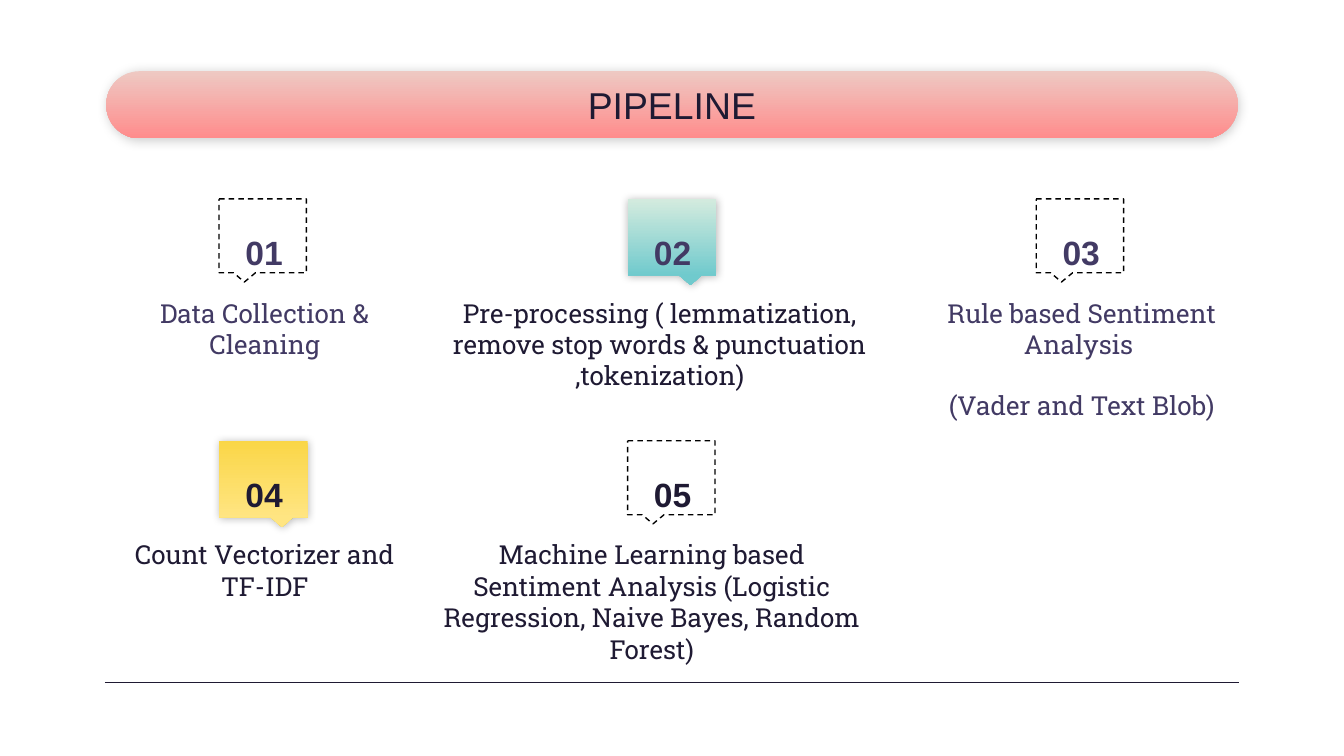
from collections import namedtuple
from dataclasses import dataclass
from lxml.etree import SubElement
from pptx import Presentation
from pptx.dml.color import RGBColor
from pptx.enum.dml import MSO_LINE
from pptx.enum.shapes import MSO_CONNECTOR, MSO_SHAPE
from pptx.enum.text import MSO_ANCHOR as Anchor, MSO_AUTO_SIZE, PP_ALIGN
from pptx.oxml.ns import qn
from pptx.util import Inches, Pt

Box = namedtuple("Box", "x y w h")
Step = namedtuple("Step", "col row num lines ink fill grow", defaults=[None, (0, 0)])


@dataclass(frozen=True)
class Theme:
    dark: str = "1F1A33"
    soft: str = "423A64"
    black: str = "000000"
    rose: tuple = ("EEC9C3", "FF8C8C")
    teal: tuple = ("D4EBDE", "70CACD")
    gold: tuple = ("FAD647", "FFE582")
    head: str = "Arial"
    body: str = "Roboto Slab"
    title: int = 20
    num: int = 18
    text: int = 14
    gap: int = 16
    rule: float = 0.75


T = Theme()
WIDE = 10
HIGH = WIDE * 9 / 16
EDGE = 0.79
GRID = Box(EDGE, 1.48, 3.04, 1.8)  # origin and pitch of the step cells
CELL = Box(0, 0, 2.36, 1.46)
STEPS = [
    Step(0, 0, "01", ["Data Collection & Cleaning"], T.soft),
    Step(1, 0, "02", ["Pre-processing ( lemmatization, remove stop words & "
                      "punctuation ,tokenization)"], T.dark, T.teal, (0.57, 0.37)),
    Step(2, 0, "03", ["Rule based Sentiment Analysis ", "(Vader and Text Blob)"], T.soft),
    Step(0, 1, "04", ["Count Vectorizer and TF-IDF"], T.dark, T.gold),
    Step(1, 1, "05", ["Machine Learning based Sentiment Analysis (Logistic "
                      "Regression, Naive Bayes, Random Forest)"], T.dark,
         grow=(0.69, 0.37)),
]


def emu(box):
    return [Inches(v) for v in box]


def shade(shape, pair):
    shape.fill.gradient()
    shape.fill.gradient_angle = 270  # counter-clockwise: top to bottom
    for stop, color, pos in zip(shape.fill.gradient_stops, pair, (0, 1)):
        stop.color.rgb = RGBColor.from_string(color)
        stop.position = pos
    shape.line.fill.background()


def cast(shape, alpha, blur, turn):
    """Give the shape a soft outer shadow."""
    props = shape.element.spPr
    fx = props.find(qn("a:effectLst"))
    drop = SubElement(fx, qn("a:outerShdw"), blurRad=str(Pt(blur)), dist=str(Pt(0.8)),
                      dir=str(turn * 60000), algn="bl", rotWithShape="0")
    tint = SubElement(drop, qn("a:srgbClr"), val=T.black)
    SubElement(tint, qn("a:alpha"), val=str(alpha * 1000))


def write(shape, lines, font, size, ink, bold=False, anchor=Anchor.TOP, foot=0.1):
    frame = shape.text_frame
    frame.text = "\n".join(lines)
    frame.word_wrap = True
    frame.auto_size = MSO_AUTO_SIZE.NONE
    frame.vertical_anchor = anchor
    frame.margin_left = frame.margin_right = frame.margin_top = Inches(0.1)
    frame.margin_bottom = Inches(foot)
    for i, para in enumerate(frame.paragraphs):
        para.alignment = PP_ALIGN.CENTER
        para.space_before = Pt(T.gap if i else 0)
        for run in para.runs:
            run.font.name, run.font.size, run.font.bold = font, Pt(size), bold
            run.font.color.rgb = RGBColor.from_string(ink)


def banner(slide, box):
    bar = slide.shapes.add_shape(MSO_SHAPE.ROUNDED_RECTANGLE, *emu(box))
    bar.adjustments[0] = 0.5
    bar.shadow.inherit = False
    shade(bar, T.rose)
    cast(bar, 20, 5.6, 66)
    title = slide.shapes.title
    area = Box(box.x + box.w * 0.2, box.y, box.w * 0.6, box.h)
    title.left, title.top, title.width, title.height = emu(area)
    write(title, ["PIPELINE"], T.head, T.title, T.dark, anchor=Anchor.MIDDLE)
    bar.element.addnext(title.element)  # keep the title above its bar


def rule(slide, box):
    x, y, w, _ = emu(box)
    line = slide.shapes.add_connector(MSO_CONNECTOR.STRAIGHT, x, y, x + w, y)
    line.line.color.rgb = RGBColor.from_string(T.dark)
    line.line.width = Pt(T.rule)
    SubElement(line.element.spPr, qn("a:effectLst"))


def tag(slide, box, step):
    """Place the speech-bubble marker and its number."""
    note = slide.shapes.add_shape(MSO_SHAPE.ROUNDED_RECTANGULAR_CALLOUT, *emu(box))
    side = 1 if step.fill else -1
    for i, value in enumerate((side * 0.21, 0.625, 0)):
        note.adjustments[i] = value
    note.shadow.inherit = False
    if step.fill:
        shade(note, step.fill)
        cast(note, 27, 4.5, 63)
    else:
        note.fill.background()
        note.line.color.rgb = RGBColor.from_string(T.black)
        note.line.width = Pt(T.rule)
        note.line.dash_style = MSO_LINE.DASH
    label = slide.shapes.add_textbox(*emu(Box(box.x, box.y + 0.18, 0.67, 0.33)))
    ink = T.soft if step.row == 0 else T.dark
    write(label, [step.num], T.head, T.num, ink, True, Anchor.MIDDLE, 0)


def cell(slide, box, step):
    wide, high = (0.66, 0.57) if step.fill else (0.65, 0.55)
    tag(slide, Box(box.x + box.w / 2 - 0.34, box.y, wide, high), step)
    left, right = step.grow
    area = Box(box.x - left, box.y + 0.63, box.w + left + right, 0.83)
    text = slide.shapes.add_textbox(*emu(area))
    write(text, step.lines, T.body, T.text, step.ink)


def main():
    deck = Presentation()
    deck.slide_width, deck.slide_height = Inches(WIDE), Inches(HIGH)
    slide = deck.slides.add_slide(deck.slide_layouts[5])
    span = WIDE - 2 * EDGE
    banner(slide, Box(EDGE, 0.53, span, 0.5))
    rule(slide, Box(EDGE - 0.01, 5.08, span + 0.02, 0))
    for step in STEPS:
        spot = CELL._replace(x=GRID.x + step.col * GRID.w, y=GRID.y + step.row * GRID.h)
        cell(slide, spot, step)
    deck.save("out.pptx")


if __name__ == "__main__":
    main()
